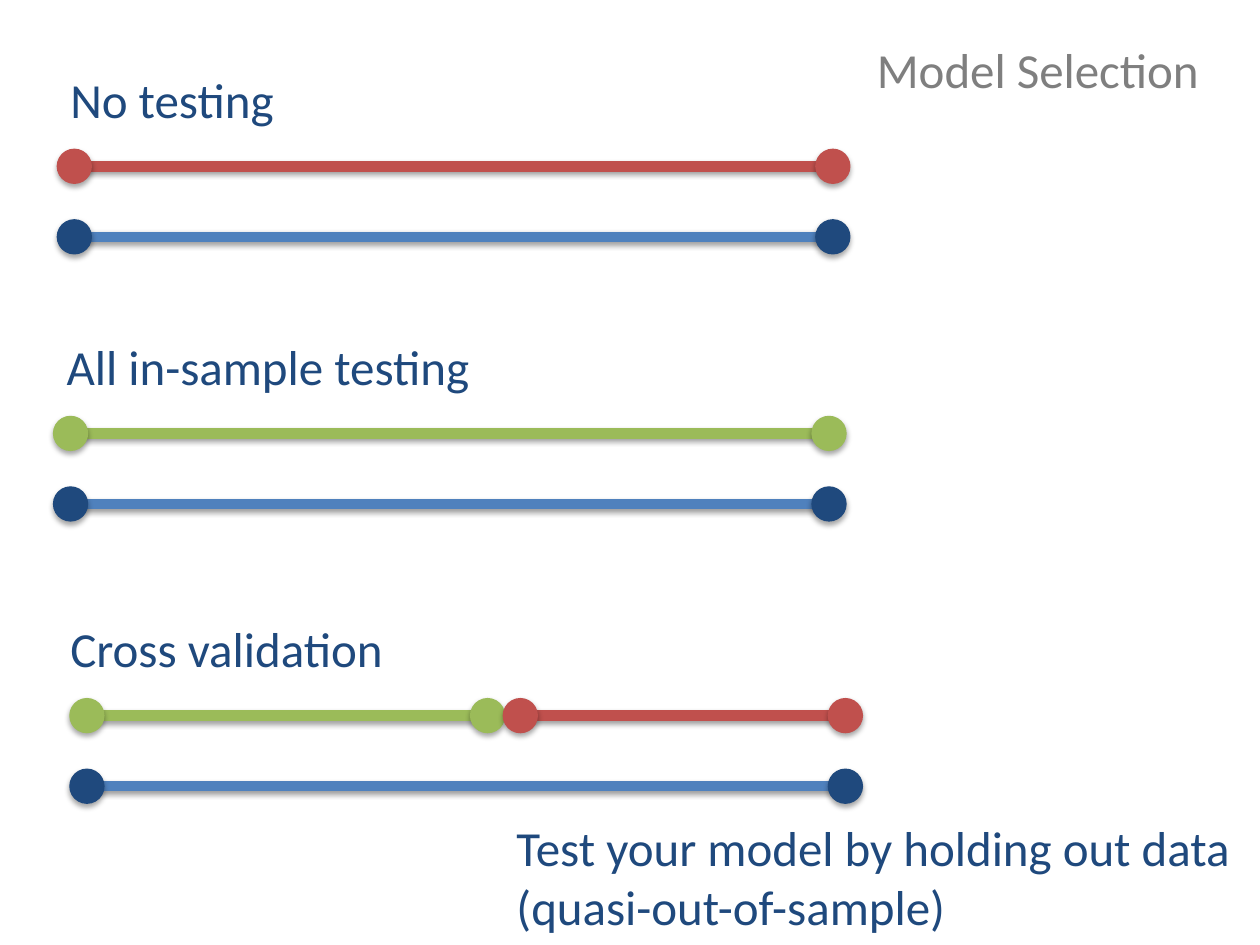
from lxml import etree
from pptx import Presentation
from pptx.dml.color import RGBColor
from pptx.enum.shapes import MSO_CONNECTOR, MSO_SHAPE
from pptx.enum.text import MSO_ANCHOR, MSO_AUTO_SIZE, PP_ALIGN
from pptx.oxml.ns import qn
from pptx.util import Inches, Pt

LINE, OVAL = MSO_CONNECTOR.STRAIGHT, MSO_SHAPE.OVAL
FIT, TOP, LEFT = MSO_AUTO_SIZE.SHAPE_TO_FIT_TEXT, MSO_ANCHOR.TOP, PP_ALIGN.LEFT
NAVY, BLUE, GREEN, RED, GREY = "1F497D", "4F81BD", "9BBB59", "C0504D", "7F7F7F"

TITLE = "Model Selection"
NOTE = "Test your model by holding out data\n(quasi-out-of-sample)"
SPAN = 6.02  # length of a full bar
FULL = (0, SPAN, BLUE, NAVY)
# label, label left, label width, label top, bar left, rows of bars;
# a bar is start, end, line colour, dot colour
GROUPS = [
    ("No testing", 0.46, 1.84, 0.5, 0.59,
     [[(0, SPAN, RED, RED)], [FULL]]),
    ("All in-sample testing", 0.43, 3.44, 2.62, 0.56,
     [[(0, SPAN, GREEN, GREEN)], [FULL]]),
    ("Cross validation", 0.46, 2.72, 4.86, 0.69,
     [[(0, 3.18, GREEN, GREEN), (3.44, SPAN, RED, RED)], [FULL]]),
]
DROP, STEP = 0.82, 0.56  # label top to first bar, bar to bar
DOT = 0.27


def rgb(code):
    return RGBColor.from_string(code)


def shade(shape, alpha, dist):
    """Give the shape a soft black shadow straight below it."""
    props = shape._element.spPr
    effects = etree.SubElement(props, qn("a:effectLst"))
    outer = etree.SubElement(effects, qn("a:outerShdw"), blurRad=str(Pt(3.1)),
                             dist=str(Pt(dist)), dir="5400000", rotWithShape="0")
    black = etree.SubElement(outer, qn("a:srgbClr"), val="000000")
    etree.SubElement(black, qn("a:alpha"), val=str(alpha * 1000))


def write(box, text, color):
    frame = box.text_frame
    frame.text = text
    frame.word_wrap = False
    frame.auto_size = FIT
    frame.vertical_anchor = TOP
    for para in frame.paragraphs:
        para.alignment = LEFT
        for run in para.runs:
            run.font.name = "Calibri"
            run.font.size = Pt(28)
            run.font.color.rgb = rgb(color)


def add_text(slide, text, *place):
    write(slide.shapes.add_textbox(*map(Inches, place)), text, NAVY)


def add_bar(slide, start, end, y, color, tip):
    line = slide.shapes.add_connector(LINE, *map(Inches, (start, y, end, y)))
    line.line.color.rgb = rgb(color)
    line.line.width = Pt(6)
    shade(line, 38, 1.6)
    for x in (start, end):
        place = (x - DOT / 2, y - DOT / 2, DOT, DOT)
        dot = slide.shapes.add_shape(OVAL, *map(Inches, place))
        dot.fill.solid()
        dot.fill.fore_color.rgb = rgb(tip)
        dot.line.color.rgb = rgb(tip)
        dot.line.width = Pt(0.75)
        shade(dot, 35, 1.8)


def main():
    deck = Presentation()
    deck.slide_width, deck.slide_height = Inches(10), Inches(7.5)
    slide = deck.slides.add_slide(deck.slide_layouts[5])
    title = slide.shapes.title
    title.left, title.top, title.width, title.height = map(
        Inches, (6.86, 0.26, 2.78, 0.57))
    write(title, TITLE, GREY)
    for label, left, width, top, base, rows in GROUPS:
        add_text(slide, label, left, top, width, 0.57)
        for row, bars in enumerate(rows):
            y = top + DROP + row * STEP
            for start, end, color, tip in bars:
                add_bar(slide, base + start, base + end, y, color, tip)
    add_text(slide, NOTE, 4, 6.44, 5.98, 1.04)
    deck.save("out.pptx")


if __name__ == "__main__":
    main()
